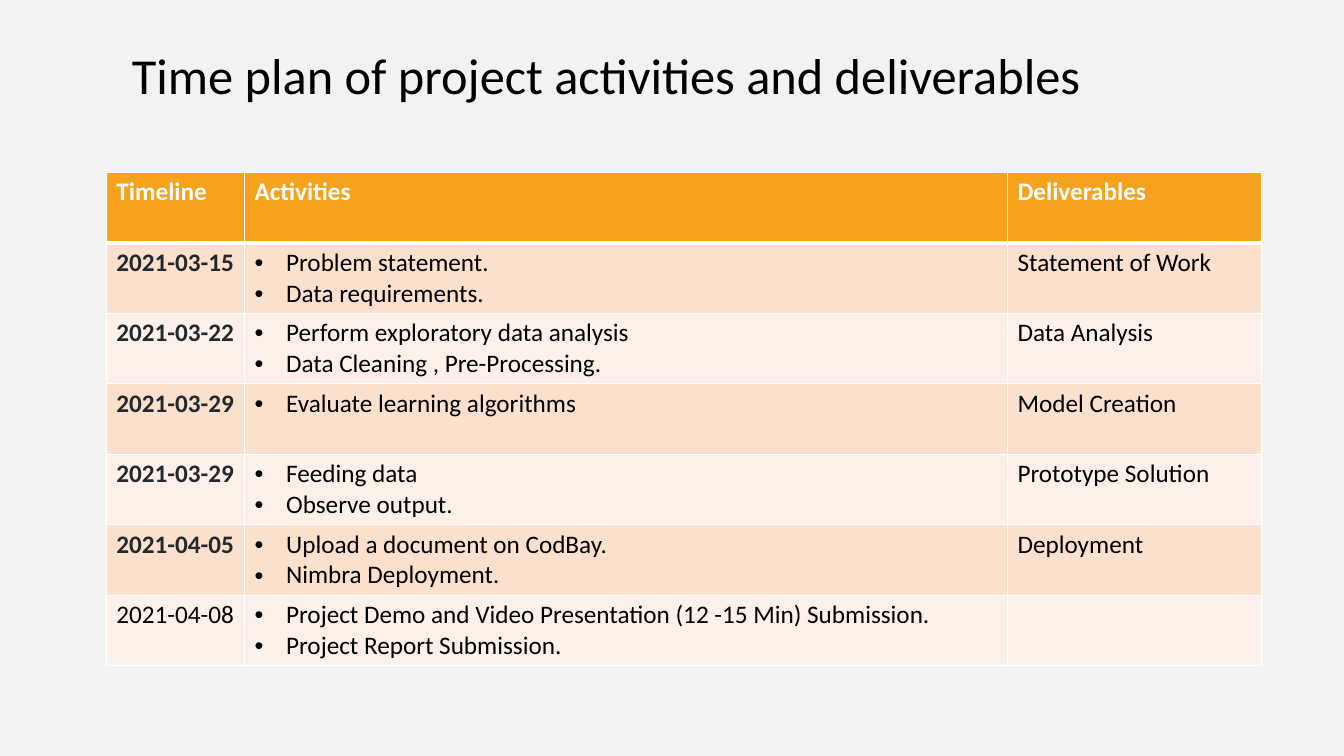
"""Builds a slide with the time plan of project activities and deliverables."""
from lxml import etree
from pptx import Presentation
from pptx.dml.color import RGBColor
from pptx.oxml.ns import qn
from pptx.util import Pt

BLACK = RGBColor(0x00, 0x00, 0x00)
WHITE = RGBColor(0xFF, 0xFF, 0xFF)
DATE_GREY = RGBColor(0x24, 0x29, 0x2E)
BACKGROUND = RGBColor(0xF2, 0xF2, 0xF2)
ORANGE = RGBColor(0xF6, 0xA2, 0x1D)
PEACH = RGBColor(0xFB, 0xE0, 0xCD)
CREAM = RGBColor(0xFD, 0xF0, 0xE8)

FONT = "Calibri"
COLUMN_WIDTHS = [98.7, 545, 181.4]
ROW_HEIGHT = 50.35
BULLET_INDENT = Pt(22.5)
HEADINGS = ["Timeline", "Activities", "Deliverables"]
PLAN = [
    ("2021-03-15", ["Problem statement.", "Data requirements."], "Statement of Work"),
    ("2021-03-22", ["Perform exploratory data analysis", "Data Cleaning , Pre-Processing."],
     "Data Analysis"),
    ("2021-03-29", ["Evaluate learning algorithms"], "Model Creation"),
    ("2021-03-29", ["Feeding data", "Observe output."], "Prototype Solution"),
    ("2021-04-05", ["Upload a document on CodBay.", "Nimbra Deployment."], "Deployment"),
    ("2021-04-08", ["Project Demo and Video Presentation (12 -15 Min) Submission.",
                    "Project Report Submission."], ""),
]


def add_run(paragraph, text, size, color, bold=False):
    run = paragraph.add_run()
    run.text = text
    run.font.name = FONT
    run.font.size = Pt(size)
    run.font.bold = bold
    run.font.color.rgb = color


def style_cell(cell, fill_color, bottom_width):
    cell.margin_top = cell.margin_bottom = Pt(3.2)
    properties = cell._tc.get_or_add_tcPr()
    for side, width in (("lnL", 1), ("lnR", 1), ("lnT", 1), ("lnB", bottom_width)):
        line = etree.SubElement(properties, qn("a:" + side), w=str(Pt(width)))
        line_fill = etree.SubElement(line, qn("a:solidFill"))
        etree.SubElement(line_fill, qn("a:srgbClr"), val=str(WHITE))
    cell.fill.solid()
    cell.fill.fore_color.rgb = fill_color


presentation = Presentation()
presentation.slide_width = Pt(960)
presentation.slide_height = Pt(540)
slide = presentation.slides.add_slide(presentation.slide_layouts[6])
slide.background.fill.solid()
slide.background.fill.fore_color.rgb = BACKGROUND

title = slide.shapes.add_textbox(Pt(87.1), Pt(28.1), Pt(776.2), Pt(51.1))
title.text_frame.word_wrap = True
add_run(title.text_frame.paragraphs[0], "Time plan of project activities and deliverables", 36, BLACK)

row_count = len(PLAN) + 1
table = slide.shapes.add_table(
    row_count, len(HEADINGS), Pt(76), Pt(123.1),
    Pt(sum(COLUMN_WIDTHS)), Pt(ROW_HEIGHT * row_count)).table
for column, width in zip(table.columns, COLUMN_WIDTHS):
    column.width = Pt(width)
for row in table.rows:
    row.height = Pt(ROW_HEIGHT)

for column_index, heading in enumerate(HEADINGS):
    cell = table.cell(0, column_index)
    style_cell(cell, ORANGE, 3)
    add_run(cell.text_frame.paragraphs[0], heading, 18, WHITE, True)

for row_index, (date, activities, deliverable) in enumerate(PLAN, start=1):
    date_cell, activity_cell, deliverable_cell = table.rows[row_index].cells
    for cell in (date_cell, activity_cell, deliverable_cell):
        style_cell(cell, PEACH if row_index % 2 else CREAM, 1)

    is_last = row_index == len(PLAN)
    add_run(date_cell.text_frame.paragraphs[0], date, 18,
            BLACK if is_last else DATE_GREY, not is_last)

    for activity_index, activity in enumerate(activities):
        text_frame = activity_cell.text_frame
        paragraph = text_frame.add_paragraph() if activity_index else text_frame.paragraphs[0]
        properties = paragraph._p.get_or_add_pPr()
        properties.set("marL", str(BULLET_INDENT))
        properties.set("indent", str(-BULLET_INDENT))
        etree.SubElement(properties, qn("a:buFont"), typeface="Arial")
        etree.SubElement(properties, qn("a:buChar"), char="•")
        add_run(paragraph, activity, 18, BLACK)

    if deliverable:
        add_run(deliverable_cell.text_frame.paragraphs[0], deliverable, 18, BLACK)

presentation.save("out.pptx")
